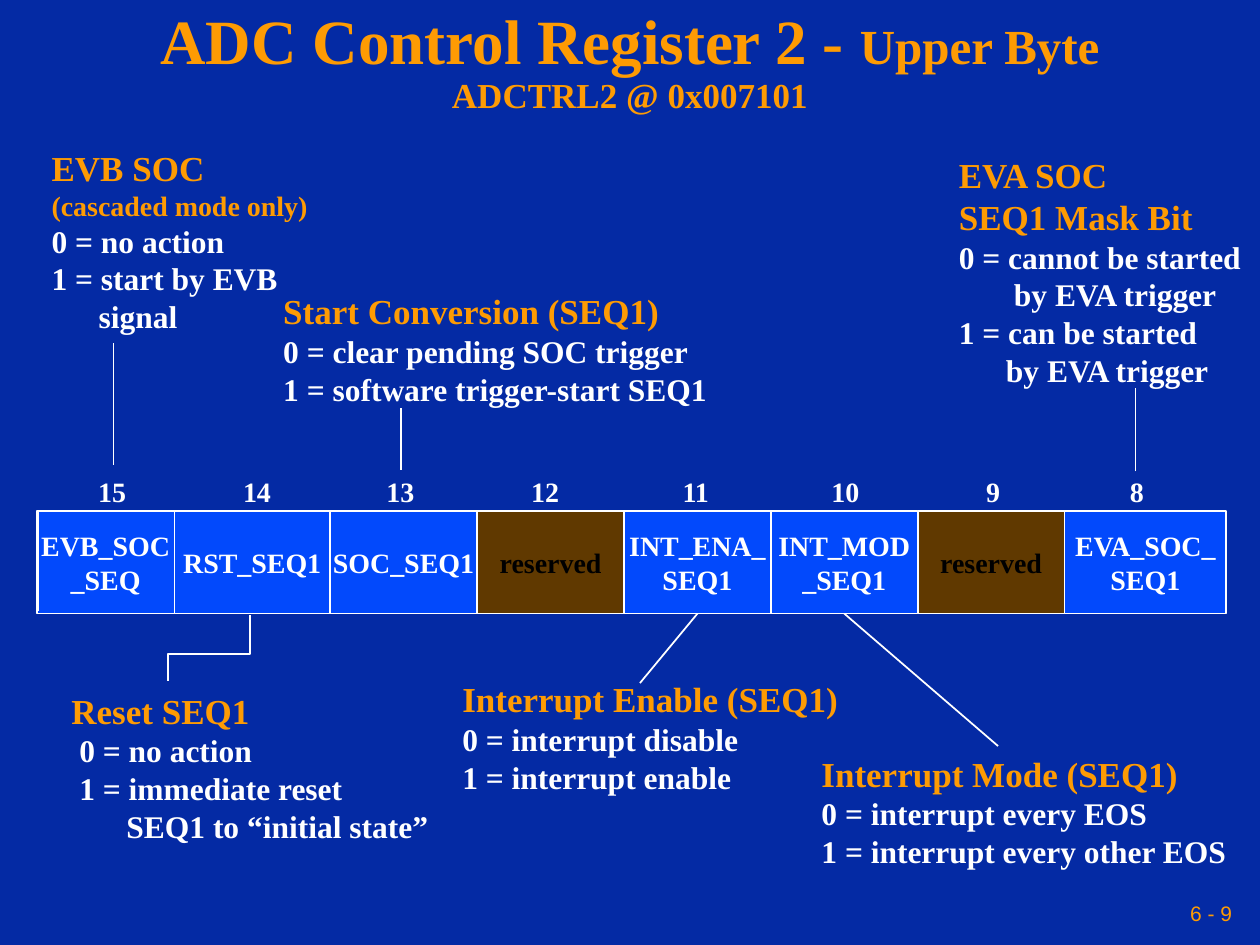
"""Build the ADC Control Register 2 upper byte slide."""
import pptx
import pptx.dml.color
import pptx.enum.shapes
import pptx.enum.text
import pptx.oxml.ns
import pptx.util
from lxml import etree

Cm = pptx.util.Cm
Pt = pptx.util.Pt
RGBColor = pptx.dml.color.RGBColor
ALIGN = pptx.enum.text.PP_ALIGN
ANCHOR = pptx.enum.text.MSO_ANCHOR

NAVY = RGBColor(0x04, 0x2A, 0xA4)
BLUE = RGBColor(0x02, 0x49, 0xFC)
BROWN = RGBColor(0x60, 0x39, 0x00)
ORANGE = RGBColor(0xFE, 0x9B, 0x03)
WHITE = RGBColor(0xFF, 0xFF, 0xFF)
BLACK = RGBColor(0x00, 0x00, 0x00)
SERIF = "Times New Roman"

TITLE = [("ADC Control Register 2 - ", 36), ("Upper Byte", 28)]
SUBTITLE = ("ADCTRL2 @ 0x007101", 20)
PAGE_NUMBER = "6 - 9"

REGISTER_TOP, REGISTER_HEIGHT = 10.3, 2.07
CELL_EDGES = [0.74, 3.52, 6.65] + [9.62 + 2.96 * step for step in range(5)] + [24.72]
BIT_TOP = 9.45

# bit, left of bit number, label lines
BITS = [
    (15, 1.73, ["EVB_SOC", "_SEQ"]),
    (14, 4.65, ["RST_SEQ1"]),
    (13, 7.54, ["SOC_SEQ1"]),
    (12, 10.46, ["reserved"]),
    (11, 13.51, ["INT_ENA_", "SEQ1"]),
    (10, 16.51, ["INT_MOD", "_SEQ1"]),
    (9, 19.63, ["reserved"]),
    (8, 22.53, ["EVA_SOC_", "SEQ1"]),
]

# box, wrap, headings (text, size), meanings (text, indent)
NOTES = [
    ((0.79, 2.82, 5.66, 4.06), False, [("EVB SOC", 20), ("(cascaded mode only)", 16)],
     [("0 = no action", 0), ("1 = start by EVB", 0), ("signal", 0.95)]),
    ((5.46, 5.72, 9.09, 2.62), False, [("Start Conversion (SEQ1)", 20)],
     [("0 = clear pending SOC trigger", 0), ("1 = software trigger-start SEQ1", 0)]),
    ((19.08, 2.97, 6.32, 4.98), True, [("EVA SOC", 20), ("SEQ1 Mask Bit", 20)],
     [("0 = cannot be started", 0), ("by EVA trigger", 1.11),
      ("1 = can be started", 0), ("by EVA trigger", 0.95)]),
    ((1.19, 13.77, 7.7, 3.38), False, [("Reset SEQ1", 20)],
     [("0 = no action", 0.16), ("1 = immediate reset", 0.16),
      ("SEQ1 to “initial state”", 1.11)]),
    ((9.07, 13.54, 8.08, 2.62), False, [("Interrupt Enable (SEQ1)", 20)],
     [("0 = interrupt disable", 0), ("1 = interrupt enable", 0)]),
    ((16.31, 15.04, 8.69, 2.62), False, [("Interrupt Mode (SEQ1)", 20)],
     [("0 = interrupt every EOS", 0), ("1 = interrupt every other EOS", 0)]),
]

REGISTER_EDGE = (0.76, 10.31, 0.76, 12.32)
UPPER_LEADERS = [(2.29, 9.37, 2.29, 6.91), (8.08, 8.23, 8.08, 9.47), (22.89, 9.5, 22.89, 7.82)]
LOWER_LEADERS = {11: (12.9, 13.77), 10: (20.12, 15.04)}
RESET_LEADER = [(3.39, 13.72), (3.39, 13.18), (5.04, 13.18), (5.04, 12.4)]


def add_run(paragraph, text, size, color, font=SERIF, bold=True):
    run = paragraph.add_run()
    run.text = text
    run.font.name, run.font.size, run.font.bold = font, Pt(size), bold
    run.font.color.rgb = color


def add_text_box(slide, box, wrap=False, fit=True, anchor=ANCHOR.TOP):
    frame = slide.shapes.add_textbox(*map(Cm, box)).text_frame
    frame.word_wrap = wrap
    frame.vertical_anchor = anchor
    if fit:
        frame.auto_size = pptx.enum.text.MSO_AUTO_SIZE.SHAPE_TO_FIT_TEXT
    return frame


def add_lines(frame, lines, align=ALIGN.LEFT):
    for index, (text, size, color, indent) in enumerate(lines):
        paragraph = frame.add_paragraph() if index else frame.paragraphs[0]
        paragraph.alignment = align
        if indent:
            paragraph._p.get_or_add_pPr().set("marL", str(Cm(indent)))
        add_run(paragraph, text, size, color)


def set_outline(shape):
    shape.line.color.rgb = WHITE
    shape.line.width = Pt(1)


def add_line(slide, ends):
    line = slide.shapes.add_connector(pptx.enum.shapes.MSO_CONNECTOR.STRAIGHT, *map(Cm, ends))
    set_outline(line)
    etree.SubElement(line._element.spPr, pptx.oxml.ns.qn("a:effectLst"))
    return line


def add_title(slide):
    frame = add_text_box(slide, (0, 0.43, 25.4, 1.7), True, False, ANCHOR.MIDDLE)
    paragraph = frame.paragraphs[0]
    paragraph.alignment = ALIGN.CENTER
    paragraph.line_spacing = 0.9
    for text, size in TITLE:
        add_run(paragraph, text, size, ORANGE)
    paragraph.add_line_break()
    add_run(paragraph, *SUBTITLE, ORANGE)


def add_cell(slide, left, right, label):
    cell = slide.shapes.add_shape(
        pptx.enum.shapes.MSO_SHAPE.RECTANGLE,
        Cm(left), Cm(REGISTER_TOP), Cm(right - left), Cm(REGISTER_HEIGHT))
    reserved = label == ["reserved"]
    cell.shadow.inherit = False
    cell.fill.solid()
    cell.fill.fore_color.rgb = BROWN if reserved else BLUE
    set_outline(cell)
    frame = cell.text_frame
    frame.word_wrap = False
    frame.vertical_anchor = ANCHOR.MIDDLE
    frame.margin_left = frame.margin_right = 0
    color = BLACK if reserved else WHITE
    add_lines(frame, [(text, 16, color, 0) for text in label], ALIGN.CENTER)
    return cell


def add_register(slide):
    cells = {}
    for (bit, bit_left, label), left, right in zip(BITS, CELL_EDGES, CELL_EDGES[1:]):
        cells[bit] = add_cell(slide, left, right, label)
        bit_box = (bit_left, BIT_TOP, 1.07 if bit > 9 else 0.79, 0.91)
        add_lines(add_text_box(slide, bit_box), [(str(bit), 16, WHITE, 0)])
    add_line(slide, REGISTER_EDGE)
    return cells


def add_leaders(slide, cells):
    for ends in UPPER_LEADERS:
        add_line(slide, ends)
    for bit, (end_x, end_y) in LOWER_LEADERS.items():
        line = add_line(slide, (end_x, REGISTER_TOP + REGISTER_HEIGHT, end_x, end_y))
        line.begin_connect(cells[bit], 2)
    start, *points = [(Cm(x), Cm(y)) for x, y in RESET_LEADER]
    builder = slide.shapes.build_freeform(*start)
    builder.add_line_segments(points, close=False)
    leader = builder.convert_to_shape()
    leader.shadow.inherit = False
    leader.fill.background()
    set_outline(leader)


def main():
    presentation = pptx.Presentation()
    presentation.slide_width, presentation.slide_height = Cm(25.4), Cm(19.05)
    slide = presentation.slides.add_slide(presentation.slide_layouts[6])
    slide.background.fill.solid()
    slide.background.fill.fore_color.rgb = NAVY

    add_title(slide)
    cells = add_register(slide)
    for box, wrap, headings, meanings in NOTES:
        lines = [(text, size, ORANGE, 0) for text, size in headings]
        lines += [(text, 18, WHITE, indent) for text, indent in meanings]
        add_lines(add_text_box(slide, box, wrap), lines)
    add_leaders(slide, cells)

    frame = add_text_box(slide, (17.35, 17.98, 7.62, 0.84), True, False, ANCHOR.MIDDLE)
    frame.margin_left = frame.margin_right = Cm(0.13)
    frame.paragraphs[0].alignment = ALIGN.RIGHT
    add_run(frame.paragraphs[0], PAGE_NUMBER, 12, ORANGE, "Arial", False)
    presentation.save("out.pptx")


if __name__ == "__main__":
    main()
